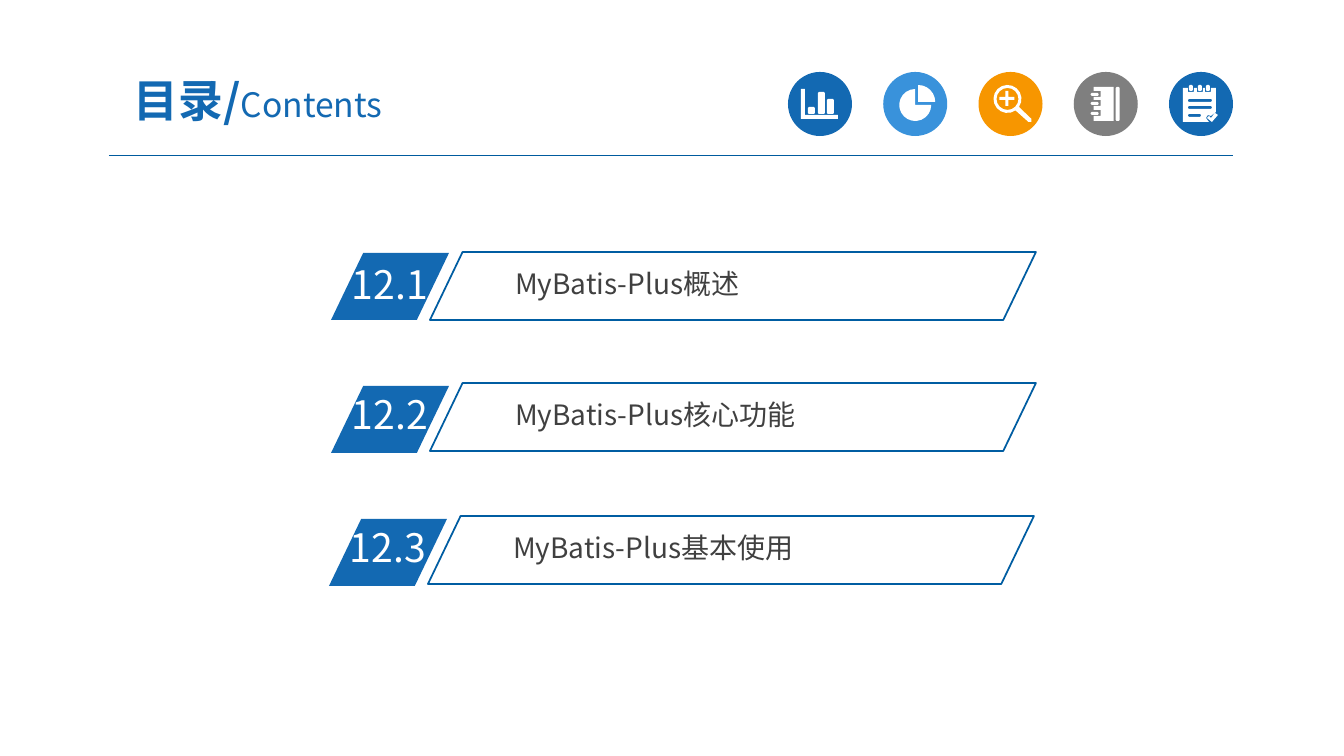
from math import cos, radians, sin
from lxml import etree
from pptx import Presentation
from pptx.dml.color import RGBColor as RGB
from pptx.enum.shapes import MSO_CONNECTOR as Link, MSO_SHAPE as Kind
from pptx.enum.text import MSO_ANCHOR as Anchor, MSO_AUTO_SIZE as Fit, PP_ALIGN as Align
from pptx.oxml.ns import qn
from pptx.util import Inches, Pt

FACE = "Noto Sans CJK SC"
INK = {"blue": "1369B2", "sky": "3992DB", "gold": "F79600", "gray": "7F7F7F",
       "white": "FFFFFF", "text": "404040", "edge": "005DA2", "rule": "005B9E"}

TITLE = [("目录/", {"size": Pt(32), "bold": True}),
         ("Contents", {"size": Pt(24), "bold": False})]

# number, label, left, tab top, number top, frame top
ROWS = [("12.1", "MyBatis-Plus概述", 331, 253, 255, 252),
        ("12.2", "MyBatis-Plus核心功能", 331, 386, 385, 383),
        ("12.3", "MyBatis-Plus基本使用", 329, 519, 518, 516)]

DISC, FIRST, LAST, TOP = 64, 788, 1169, 72
SCALE = Inches(1) / 100.8


def px(*nums):
    return [round(n * SCALE) for n in nums]


def bar(x, y, w, h):
    r, b = x + w, y + h
    return [(x + 1, y), (r - 1, y), (r, y + 1), (r, b - 1),
            (r - 1, b), (x + 1, b), (x, b - 1), (x, y + 1)]


def arc(x, y, size, start, end, count=16):
    turns = [radians(start + (end - start) * i / count) for i in range(count + 1)]
    return [(x + size * cos(t), y + size * sin(t)) for t in turns]


HOLES, PINS = (41, 31, 22), (22, 31, 39)
CHART = [[(13, 17), (17, 17), (17, 43), (50, 43), (50, 47), (13, 47)],
         bar(20, 35, 7, 7), bar(30, 20, 7, 22), bar(39, 27, 7, 15)]
SHARE = [[(32, 33)] + arc(32, 33, 16, 0, 270),
         [(35, 30)] + arc(35, 30, 17, 270, 360, 6)]
LENS = [arc(29, 27, 14, 55, 395) + [(53, 47), (53, 50), (50, 50)],
        arc(29, 27, 11, 0, 360),
        [(27, 19), (30, 19), (30, 25), (36, 25), (36, 28), (30, 28),
         (30, 34), (27, 34), (27, 28), (21, 28), (21, 25), (27, 25)]]
BOOK = [[(20, 15), (40, 15), (40, 49), (20, 49)]
        + [(x, y + d) for y in HOLES for x, d in ((20, 3), (27, 3), (27, -3), (20, -3))],
        bar(42, 15, 4, 34)] + [bar(17, y - 1, 8, 3) for y in HOLES]
PAD = [[(14, 16)]
       + [(x + d, y) for x in PINS for d, y in ((-3, 16), (-3, 20), (3, 20), (3, 16))]
       + [(47, 16), (47, 40), (42, 44), (39, 43), (37, 46), (40, 50), (14, 50)],
       bar(19, 27, 24, 3), bar(19, 34, 24, 3), bar(19, 42, 13, 3),
       [(38, 46), (40, 44), (42, 46), (46, 41), (49, 43), (43, 50)]]
PAD += [bar(x - 2, 13, 4, 6) for x in PINS]
ICONS = [("blue", CHART), ("sky", SHARE), ("gold", LENS), ("gray", BOOK), ("blue", PAD)]


def paint(shape, fill=None, edge=None):
    shape.shadow.inherit = False
    if fill:
        shape.fill.solid()
        shape.fill.fore_color.rgb = RGB.from_string(INK[fill])
    else:
        shape.fill.background()
    if edge:
        shape.line.color.rgb = RGB.from_string(INK[edge])
        shape.line.width = Pt(1.25)
    else:
        shape.line.fill.background()


def put(home, kind, box, fill=None, edge=None, adj=()):
    shape = home.add_shape(kind, *px(*box))
    paint(shape, fill, edge)
    for i, val in enumerate(adj):
        shape.adjustments[i] = val


def style(run, tint, form):
    for key, val in {"name": FACE, **form}.items():
        setattr(run.font, key, val)
    run.font.color.rgb = RGB.from_string(INK[tint])
    east = etree.SubElement(run.font._element, qn("a:ea"))
    east.set("typeface", FACE)


def frame(shape, pads, anchor):
    text = shape.text_frame
    left, top = (Inches(p) for p in pads)
    form = {"word_wrap": True, "auto_size": Fit.NONE, "vertical_anchor": anchor,
            "margin_left": left, "margin_right": left,
            "margin_top": top, "margin_bottom": top}
    for key, val in form.items():
        setattr(text, key, val)
    return text.paragraphs[0]


def write(home, text, box, size, tint, pads):
    para = frame(home.add_textbox(*px(*box)), pads, Anchor.TOP)
    run = para.add_run()
    run.text = text
    style(run, tint, {"size": Pt(size)})


def icon(home, left, tint, loops):
    put(home, Kind.OVAL, (left, TOP, DISC, DISC), tint)
    pen = None
    for loop in loops:
        spots = [px(left + x, TOP + y) for x, y in loop]
        if pen:
            pen.move_to(*spots[0])
        else:
            pen = home.build_freeform(*spots[0])
        pen.add_line_segments(spots[1:], close=True)
    paint(pen.convert_to_shape(), "white")


def main():
    deck = Presentation()
    deck.slide_width, deck.slide_height = px(1344, 756)
    slide = deck.slides.add_slide(deck.slide_layouts[5])
    home = slide.shapes

    title = home.title
    title.left, title.top, title.width, title.height = px(92, 64, 332, 72)
    para = frame(title, (0.13, 0.07), Anchor.MIDDLE)
    para.alignment = Align.CENTER
    for text, form in TITLE:
        run = para.add_run()
        run.text = text
        style(run, "blue", form)

    rule = home.add_connector(Link.STRAIGHT, *px(109, 156, 1233, 156))
    rule.line.color.rgb = RGB.from_string(INK["rule"])
    rule.line.width = Pt(0.75)
    etree.SubElement(rule._element.spPr, qn("a:effectLst"))

    step = (LAST - FIRST) / (len(ICONS) - 1)
    for i, (tint, loops) in enumerate(ICONS):
        icon(home.add_group_shape().shapes, FIRST + i * step, tint, loops)

    for num, label, left, tab, high, top in ROWS:
        put(home, Kind.PARALLELOGRAM, (left, tab, 118, 67), "blue", adj=[0.48])
        write(home, num, (left + 11, high, 113, 57), 28, "white", (0.1, 0.05))
        write(home, label, (left + 177, top + 10, 475, 41), 20, "text", (0.07, 0.04))
        put(home, Kind.PARALLELOGRAM, (left + 99, top, 606, 68), edge="edge", adj=[0.48])

    deck.save("out.pptx")


if __name__ == "__main__":
    main()
